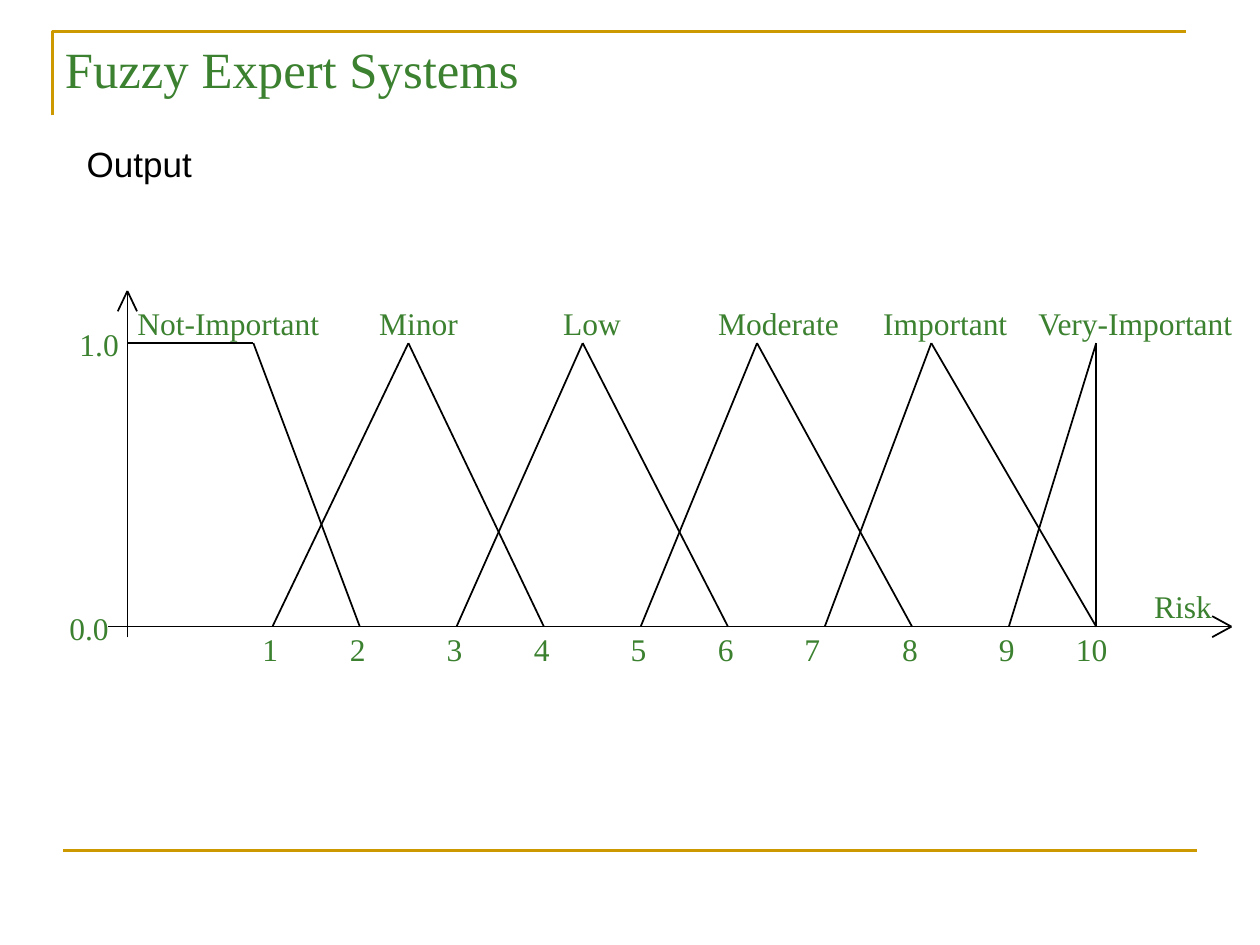
from pptx import Presentation
from pptx.dml.color import RGBColor
from pptx.enum.shapes import MSO_CONNECTOR as Connector
from pptx.enum.text import MSO_ANCHOR as Anchor, MSO_AUTO_SIZE as AutoSize
from pptx.oxml.xmlchemy import OxmlElement
from pptx.util import Pt

GREEN = RGBColor(0x3B, 0x81, 0x2F)
GOLD = RGBColor(0xCC, 0x99, 0x00)
BLACK = RGBColor(0x00, 0x00, 0x00)
SERIF = "Times New Roman"
SANS = "Arial"
LABEL_HEIGHT = 28.8


def add_line(slide, start, end, color=BLACK, weight=1):
    line = slide.shapes.add_connector(
        Connector.STRAIGHT, *(Pt(value) for value in (*start, *end)))
    line.line.color.rgb = color
    line.line.width = Pt(weight)
    line._element.spPr.append(OxmlElement("a:effectLst"))


def add_text(slide, text, box, size=18, font=SERIF, color=GREEN):
    shape = slide.shapes.add_textbox(*(Pt(value) for value in box))
    frame = shape.text_frame
    frame.text = text
    frame.word_wrap = True
    frame.auto_size = AutoSize.NONE
    run = frame.paragraphs[0].runs[0]
    run.font.size = Pt(size)
    run.font.name = font
    run.font.color.rgb = color
    return shape


def add_title(slide, left, top, width, height):
    # Corner bracket
    builder = slide.shapes.build_freeform(Pt(left), Pt(top + height))
    builder.add_line_segments(
        [(Pt(left), Pt(top)), (Pt(left + width), Pt(top))], close=False)
    bracket = builder.convert_to_shape()
    bracket.shadow.inherit = False
    bracket.fill.background()
    bracket.line.color.rgb = GOLD
    bracket.line.width = Pt(1.5)
    # Title text
    title = add_text(slide, "Fuzzy Expert Systems", (left, top, 609.8, 41.8),
                     size=29)
    title.text_frame.vertical_anchor = Anchor.MIDDLE


def add_axes(slide, left, top, width, height):
    right, bottom = left + width, top + height
    tip = top - 29.8
    add_line(slide, (left, bottom + 6.2), (left, tip))
    add_line(slide, (left - 10.8, bottom), (right, bottom))
    # Open arrowheads
    for side in (-1, 1):
        add_line(slide, (left, tip), (left + side * 5.5, tip + 11.6))
        add_line(slide, (right, bottom), (right - 11, bottom + side * 6))
    # Axis labels
    add_text(slide, "1.0", (left - 34.5, top - 13.8, 38, LABEL_HEIGHT))
    add_text(slide, "0.0", (left - 40.3, bottom - 13.8, 38, LABEL_HEIGHT))
    add_text(slide, "Risk", (right - 51.3, bottom - 26, 49, LABEL_HEIGHT))


def add_membership_chart(slide, left, top, width, height):
    bottom = top + height
    add_axes(slide, left, top, width, height)

    # Odd and even values each advance by one step per pair
    ticks = {}
    for pair in range(5):
        ticks[2 * pair + 1] = left + 82.9 + 105.2 * pair
        ticks[2 * pair + 2] = left + 132.8 + 105.2 * pair
    for value, x in ticks.items():
        offset = 18.7 if value in (7, 10) else 12.8
        label_width = 34 if value == 10 else 25
        add_text(slide, str(value),
                 (x - offset, bottom - 1.8, label_width, LABEL_HEIGHT))

    # Membership functions: foot, peak, foot
    shoulder = left + 72
    add_line(slide, (left, top), (shoulder, top))
    add_line(slide, (shoulder, top), (ticks[2], bottom))
    peaks = [left + 160.6 + 99.6 * index for index in range(4)]
    feet = [(1, 4), (3, 6), (5, 8), (7, 10), (9, 10)]
    for peak, (first, last) in zip(peaks + [ticks[10]], feet):
        add_line(slide, (ticks[first], bottom), (peak, top))
        add_line(slide, (peak, top), (ticks[last], bottom))

    # Names of the fuzzy sets
    names = [("Not-Important", -1.4, 120), ("Minor", 136.8, 61),
             ("Low", 241.9, 49), ("Moderate", 330.5, 85),
             ("Important", 424.8, 87), ("Very-Important", 513.4, 129)]
    for name, offset, name_width in names:
        add_text(slide, name,
                 (left + offset, top - 25.8, name_width, LABEL_HEIGHT))


def main():
    presentation = Presentation()
    presentation.slide_width = Pt(720)
    presentation.slide_height = Pt(540)
    slide = presentation.slides.add_slide(presentation.slide_layouts[6])
    add_title(slide, 30, 18, 648, 48)
    add_text(slide, "Output", (42.5, 77.8, 77, 31.7),
             size=20, font=SANS, color=BLACK)
    add_membership_chart(slide, 72.8, 196.1, 630.9, 162)
    # Footer rule
    add_line(slide, (36, 486), (684, 486), GOLD, 1.5)
    presentation.save("out.pptx")


if __name__ == "__main__":
    main()
